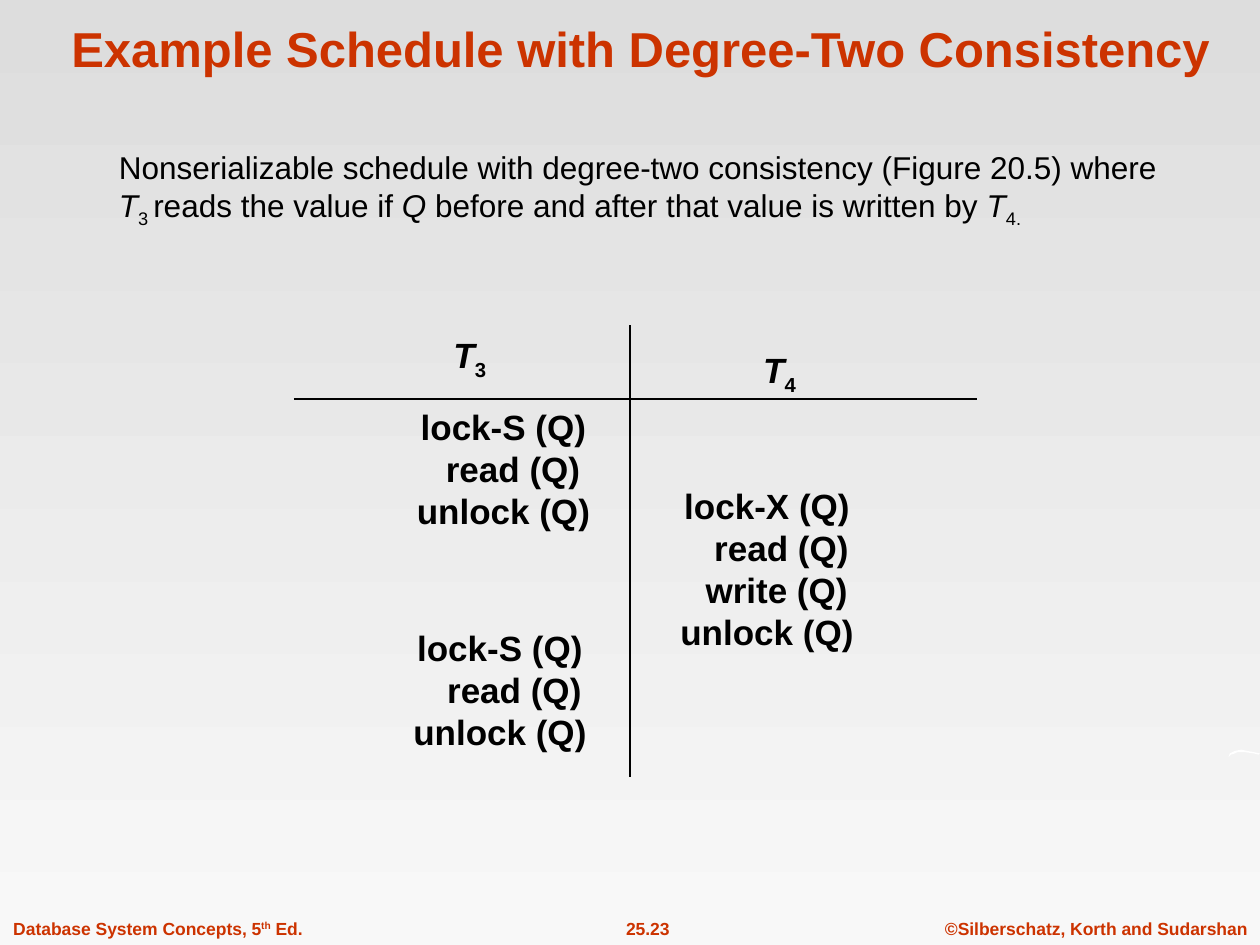
from lxml.etree import SubElement
from pptx import Presentation
from pptx.dml.color import RGBColor
from pptx.enum.shapes import MSO_CONNECTOR
from pptx.enum.text import MSO_ANCHOR, MSO_AUTO_SIZE, PP_ALIGN
from pptx.oxml.ns import qn
from pptx.util import Pt

RED = "CC3300"
BLACK = "000000"
SUBSCRIPT = -25000
SUPERSCRIPT = 30000


def color(value):
    return RGBColor.from_string(value)


def add_text(box, lines, size, text_color=BLACK, bold=True, align=PP_ALIGN.CENTER, wrap=False):
    shape = slide.shapes.add_textbox(*[Pt(length) for length in box])
    frame = shape.text_frame
    frame.word_wrap = wrap
    frame.auto_size = MSO_AUTO_SIZE.NONE if wrap else MSO_AUTO_SIZE.SHAPE_TO_FIT_TEXT
    for index, (indent, runs) in enumerate(lines):
        paragraph = frame.add_paragraph() if index else frame.paragraphs[0]
        paragraph.alignment = align
        paragraph.font.name = "Arial"
        paragraph.font.size = Pt(size)
        paragraph.font.bold = bold
        paragraph.font.color.rgb = color(text_color)
        if indent:
            paragraph._p.get_or_add_pPr().set("marL", str(Pt(indent)))
        for text, italic, baseline in runs:
            run = paragraph.add_run()
            run.text = text
            if italic:
                run.font.italic = True
            if baseline:
                run._r.get_or_add_rPr().set("baseline", str(baseline))
    return frame


presentation = Presentation()
presentation.slide_width = Pt(720)
presentation.slide_height = Pt(540)
slide = presentation.slides.add_slide(presentation.slide_layouts[6])

background = slide.background.fill
background.gradient()
background.gradient_angle = 270
for stop, shade in zip(background.gradient_stops, ("DDDDDD", "F8F8F8")):
    stop.color.rgb = color(shade)

footers = [
    ((532.8, 520.8, 187.2, 19.2), PP_ALIGN.CENTER,
     [("©Silberschatz, Korth and Sudarshan", False, 0)]),
    ((332.2, 520.8, 76, 19.2), PP_ALIGN.CENTER, [("25.23", False, 0)]),
    ((0.5, 520.8, 180, 19.2), PP_ALIGN.LEFT,
     [("Database System Concepts, 5", False, 0), ("th", False, SUPERSCRIPT), (" Ed.", False, 0)]),
]
for box, align, runs in footers:
    add_text(box, [(0, runs)], 10, RED, align=align)

swoosh_points = [
    (976, 598), (980, 596), (985, 595), (990, 596), (995, 597), (1000, 598),
    (999, 599), (995, 598), (988, 597), (982, 597), (980, 598), (977, 599), (976, 600),
]
builder = slide.shapes.build_freeform(975, 601, scale=Pt(0.72))
builder.add_line_segments(swoosh_points, close=True)
swoosh = builder.convert_to_shape()
swoosh.shadow.inherit = False
swoosh.fill.solid()
swoosh.fill.fore_color.rgb = color("FFFFFF")
swoosh.line.fill.background()

title = add_text((18, -6.2, 696, 54),
                 [(0, [("Example Schedule with Degree-Two Consistency", False, 0)])],
                 28, RED, wrap=True)
title.vertical_anchor = MSO_ANCHOR.BOTTOM

description = [
    ("Nonserializable schedule with degree-two consistency (Figure 20.5) where ", False, 0),
    ("T", True, 0),
    ("3 ", False, SUBSCRIPT),
    ("reads the value if ", False, 0),
    ("Q", True, 0),
    (" before and after that value is written by ", False, 0),
    ("T", True, 0),
    ("4.", False, SUBSCRIPT),
]
add_text((60.8, 81, 616, 84), [(0, description)], 18, bold=False, align=PP_ALIGN.LEFT, wrap=True)

for left, top, number in [(252, 187, "3"), (429, 195.6, "4")]:
    add_text((left, top, 33, 34.5), [(0, [("T", True, 0), (number, False, SUBSCRIPT)])], 20)

for ends in [(168, 228, 558, 228), (360, 186, 360, 444)]:
    rule = slide.shapes.add_connector(MSO_CONNECTOR.STRAIGHT, *[Pt(length) for length in ends])
    rule.line.color.rgb = color(BLACK)
    rule.line.width = Pt(0.75)
    SubElement(rule._element.spPr, qn("a:effectLst"))

operations = [
    (229.2, 228, [(0, "lock-S (Q)"), (11, "read (Q)"), (0, "unlock (Q)")]),
    (227.2, 354.3, [(0, "lock-S (Q)"), (16.5, "read (Q)"), (0, "unlock (Q)")]),
    (379.8, 273.4, [(0, "lock-X (Q)"), (16.5, "read (Q)"), (11, "write (Q)"), (0, "unlock (Q)")]),
]
for left, top, steps in operations:
    lines = [(indent, [(text, False, 0)]) for indent, text in steps]
    add_text((left, top, 117, 24 * len(steps) + 7.2), lines, 20)

presentation.save("out.pptx")
